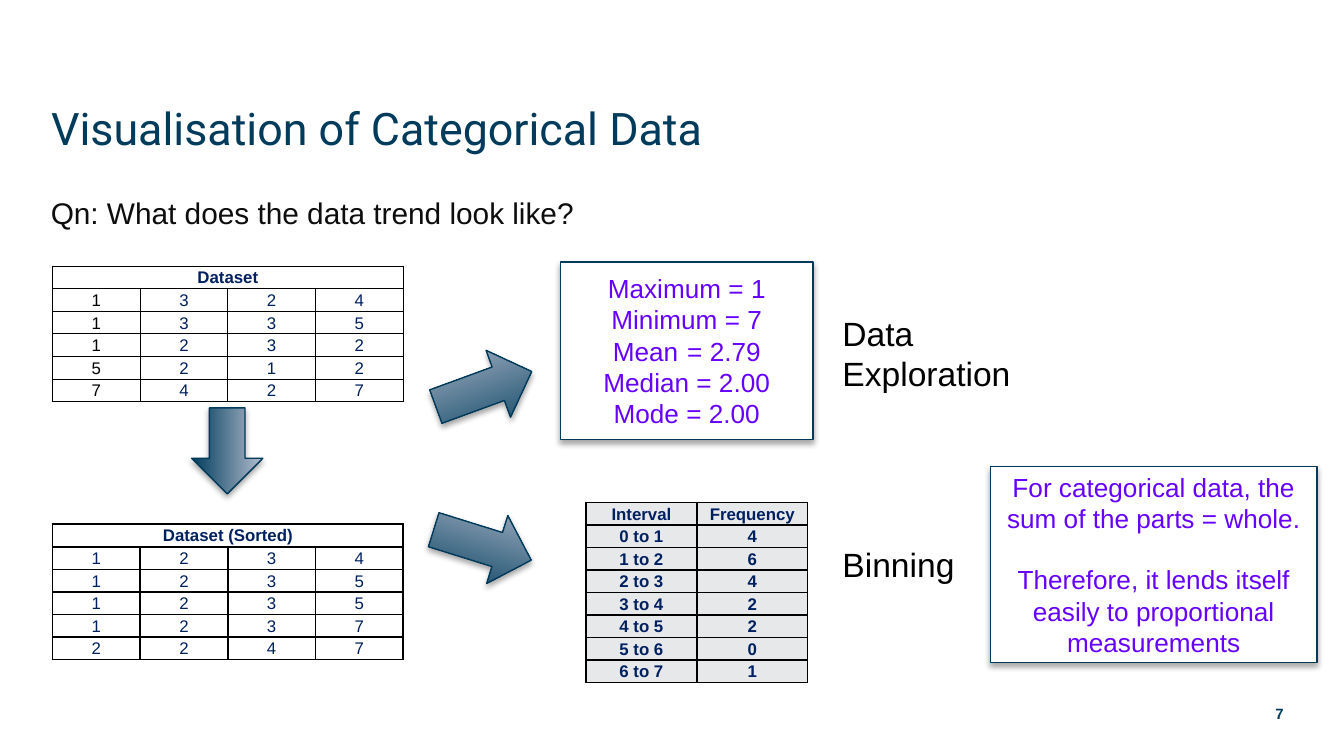
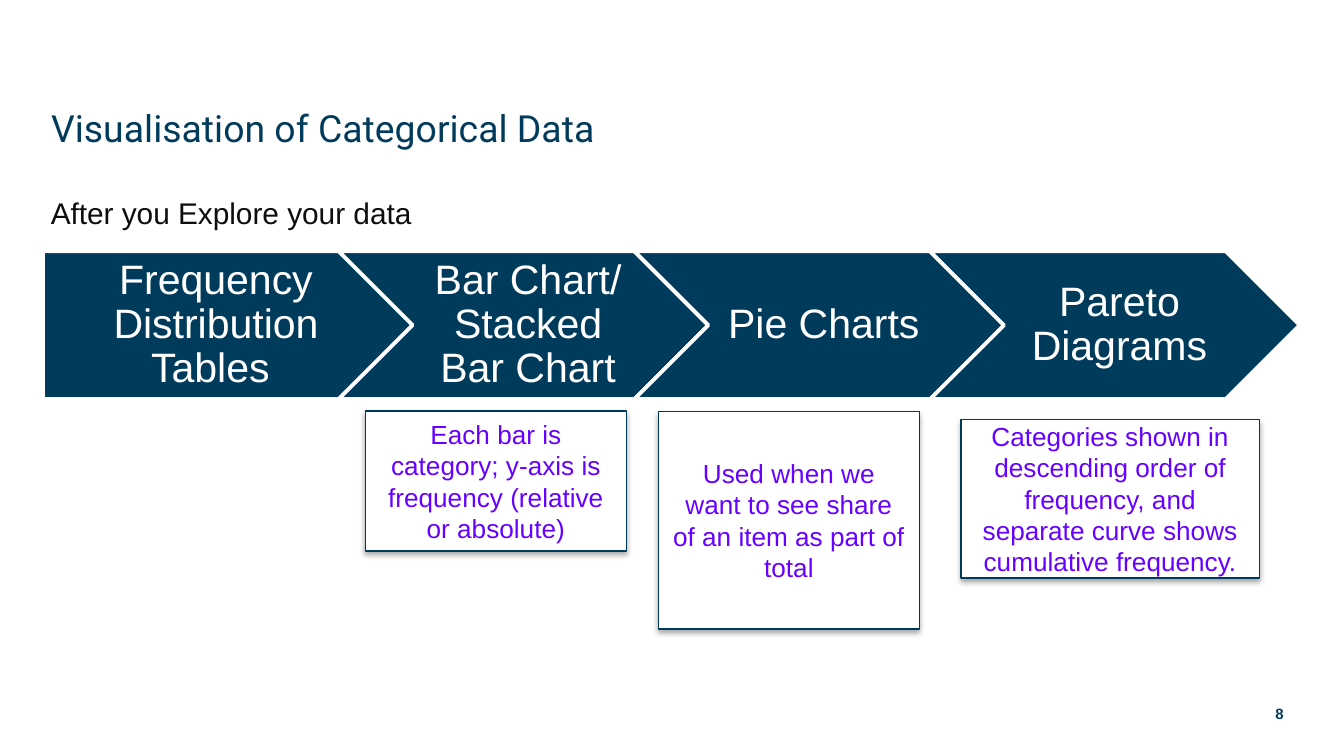
from lxml import etree
from pptx import Presentation
from pptx import util as u
from pptx.dml import color
from pptx.enum import shapes, text
from pptx.oxml import ns

NAVY, EDGE, VIOLET, INK = "003B5C", "003A5A", "6600FF", "002060"
WHITE, BLACK, GREY, MIST = "FFFFFF", "000000", "E7E8EA", "B3BDCE"
KIND = shapes.MSO_SHAPE
MID, TOP = text.MSO_ANCHOR.MIDDLE, text.MSO_ANCHOR.TOP
LEFT, MIDDLE, RIGHT = text.PP_ALIGN.LEFT, text.PP_ALIGN.CENTER, text.PP_ALIGN.RIGHT

WIDE = u.Inches(10)
TALL = WIDE * 9 // 16
TITLE = "Visualisation of Categorical Data"
PAGES = [
    dict(num="7", size=24, lead="Qn: What does the data trend look like?"),
    dict(num="8", size=20, lead="After you Explore your data"),
]
DATA = [["Dataset"], "1324", "1335", "1232", "5212", "7427"]
SORTED = [["Dataset (Sorted)"], "1234", "1235", "1235", "1237", "2247"]
COUNTS = [4, 6, 4, 2, 2, 0, 1]
BINS = [["Interval", "Frequency"]]
BINS += [[f"{i} to {i + 1}", str(n)] for i, n in enumerate(COUNTS)]
ARROWS = [
    ((1.37, 3.09, 0.64, 0.53), 90),
    ((3.22, 2.63, 0.76, 0.53), 339.9),
    ((3.21, 3.79, 0.76, 0.53), 17.3),
]
STATS = ["Maximum = 1", "Minimum = 7", "Mean\t = 2.79", "Median = 2.00", "Mode = 2.00"]
WHOLE = [
    "For categorical data, the sum of the parts = whole.",
    "Therefore, it lends itself easily to proportional measurements",
]
LABELS = [
    ((6.17, 2.28, 1.46, 0.71), ["Data", "Exploration"]),
    ((6.17, 4, 1.04, 0.4), ["Binning"]),
]
STEPS = [
    "Frequency Distribution Tables ",
    "Bar Chart/ Stacked Bar Chart",
    "Pie Charts",
    "Pareto Diagrams",
]
NOTES = [
    ((4.9, 3.06, 1.94, 1.62), "Used when we want to see share of an item as part of total"),
    ((2.72, 3.06, 1.94, 1.04),
     "Each bar is category; y-axis is frequency (relative or absolute)"),
    ((7.15, 3.12, 2.22, 1.18),
     "Categories shown in descending order of frequency, "
     "and separate curve shows cumulative frequency."),
]


def rgb(code):
    return color.RGBColor.from_string(code)


def place(box):
    return [u.Inches(n) for n in box]


def apply(item, **vals):
    for key, val in vals.items():
        setattr(item, key, val)


def pad(item, *sides):
    names = ("margin_left", "margin_top", "margin_right", "margin_bottom")
    apply(item, **dict(zip(names, place(sides))))


def write(frame, lines, size, ink, align=LEFT, bold=False, face="Arial",
          anchor=MID, wrap=True, gap=0, lead=1.0):
    apply(frame, word_wrap=wrap, vertical_anchor=anchor)
    for i, line in enumerate(lines):
        para = frame.add_paragraph() if i else frame.paragraphs[0]
        run = para.add_run()
        run.text = line
        apply(para, alignment=align, line_spacing=lead)
        if i and gap:
            para.space_before = u.Pt(gap)
        apply(run.font, size=u.Pt(size), bold=bold, name=face)
        run.font.color.rgb = rgb(ink)


def label(page, box, lines, size, ink, **fmt):
    write(page.shapes.add_textbox(*place(box)).text_frame, lines, size, ink, **fmt)


def draw(page, kind, box, fill=None, edge=EDGE, width=0.75):
    shape = page.shapes.add_shape(kind, *place(box))
    shape.shadow.inherit = False
    if fill:
        shape.fill.solid()
        shape.fill.fore_color.rgb = rgb(fill)
    shape.line.color.rgb = rgb(edge)
    shape.line.width = u.Pt(width)
    return shape


def shade(shape):
    glow = shape._element.spPr.find(ns.qn("a:effectLst"))
    outer = etree.SubElement(glow, ns.qn("a:outerShdw"), blurRad="40000",
                             dist="23000", dir="5400000", rotWithShape="0")
    tone = etree.SubElement(outer, ns.qn("a:srgbClr"), val=BLACK)
    etree.SubElement(tone, ns.qn("a:alpha"), val="35000")


def note(page, box, lines, gap=0):
    shape = draw(page, KIND.RECTANGLE, box, WHITE)
    shade(shape)
    write(shape.text_frame, lines, 14, VIOLET, align=MIDDLE, gap=gap)


def arrow(page, box, turn):
    shape = draw(page, KIND.RIGHT_ARROW, box)
    shape.rotation = turn
    shape.fill.gradient()
    shape.fill.gradient_angle = 90
    for stop, code in zip(shape.fill.gradient_stops, (NAVY, MIST)):
        stop.color.rgb = rgb(code)
    shade(shape)


def border(cell, width):
    props = cell._tc.get_or_add_tcPr()
    for side in ("lnL", "lnR", "lnT", "lnB"):
        line = etree.SubElement(props, ns.qn("a:" + side), w=str(u.Pt(width)))
        fill = etree.SubElement(line, ns.qn("a:solidFill"))
        etree.SubElement(fill, ns.qn("a:srgbClr"), val=BLACK)


def grid(page, box, rows, width=1, fill=WHITE, first=INK, bold=False):
    cols = len(rows[-1])
    table = page.shapes.add_table(len(rows), cols, *place(box)).table
    for row in table.rows:
        row.height = u.Inches(box[3] / len(rows))
    for col in table.columns:
        col.width = u.Inches(box[2] / cols)
    if len(rows[0]) == 1:
        table.cell(0, 0).merge(table.cell(0, cols - 1))
    for r, row in enumerate(rows):
        for c in range(cols):
            cell = table.cell(r, c)
            border(cell, width)
            cell.fill.solid()
            cell.fill.fore_color.rgb = rgb(fill)
            pad(cell, 0.01, 0.01, 0.01, 0)
            cell.vertical_anchor = MID
            if c < len(row):
                write(cell.text_frame, [row[c]], 9, first if r and not c else INK,
                      align=MIDDLE, bold=bold or r == 0)


def start(deck, num, size, lead):
    page = deck.slides.add_slide(deck.slide_layouts[5])
    head = page.shapes.title
    spots = ("left", "top", "width", "height")
    apply(head, **dict(zip(spots, place((0.28, 0.5, 9.37, 0.9)))))
    write(head.text_frame, [TITLE], size, NAVY, face="Roboto")
    label(page, (0.28, 1.4, 9.37, 0.32), [lead], 16, "0D0D0D", anchor=TOP)
    label(page, (7.5, 5.16, 2.15, 0.3), [num], 8, NAVY, align=RIGHT, bold=True)
    return page


def explore(page):
    note(page, (7.37, 3.47, 2.43, 1.46), WHOLE, gap=16)
    grid(page, (0.39, 1.98, 2.61, 1.01), DATA, width=0.5, first=BLACK)
    grid(page, (0.39, 3.9, 2.61, 1.01), SORTED)
    for box, turn in ARROWS:
        arrow(page, box, turn)
    note(page, (4.17, 1.95, 1.88, 1.32), STATS)
    grid(page, (4.36, 3.74, 1.65, 1.34), BINS, fill=GREY, bold=True)
    for box, lines in LABELS:
        label(page, box, lines, 18, BLACK, anchor=TOP, wrap=False)


def charts(page):
    for i, step in enumerate(STEPS):
        kind = KIND.CHEVRON if i else KIND.PENTAGON
        shape = draw(page, kind, (0.32 + 2.2 * i, 1.87, 2.75, 1.1), NAVY, WHITE, 2)
        pad(shape.text_frame, 0.1 if i else 0.13, 0.06, 0.03, 0.06)
        write(shape.text_frame, [step], 22, WHITE, align=MIDDLE, lead=0.9)
    for box, line in NOTES:
        note(page, box, [line])


def main():
    deck = Presentation()
    apply(deck, slide_width=WIDE, slide_height=TALL)
    for fill, page in zip((explore, charts), PAGES):
        fill(start(deck, **page))
    deck.save("out.pptx")


if __name__ == "__main__":
    main()
